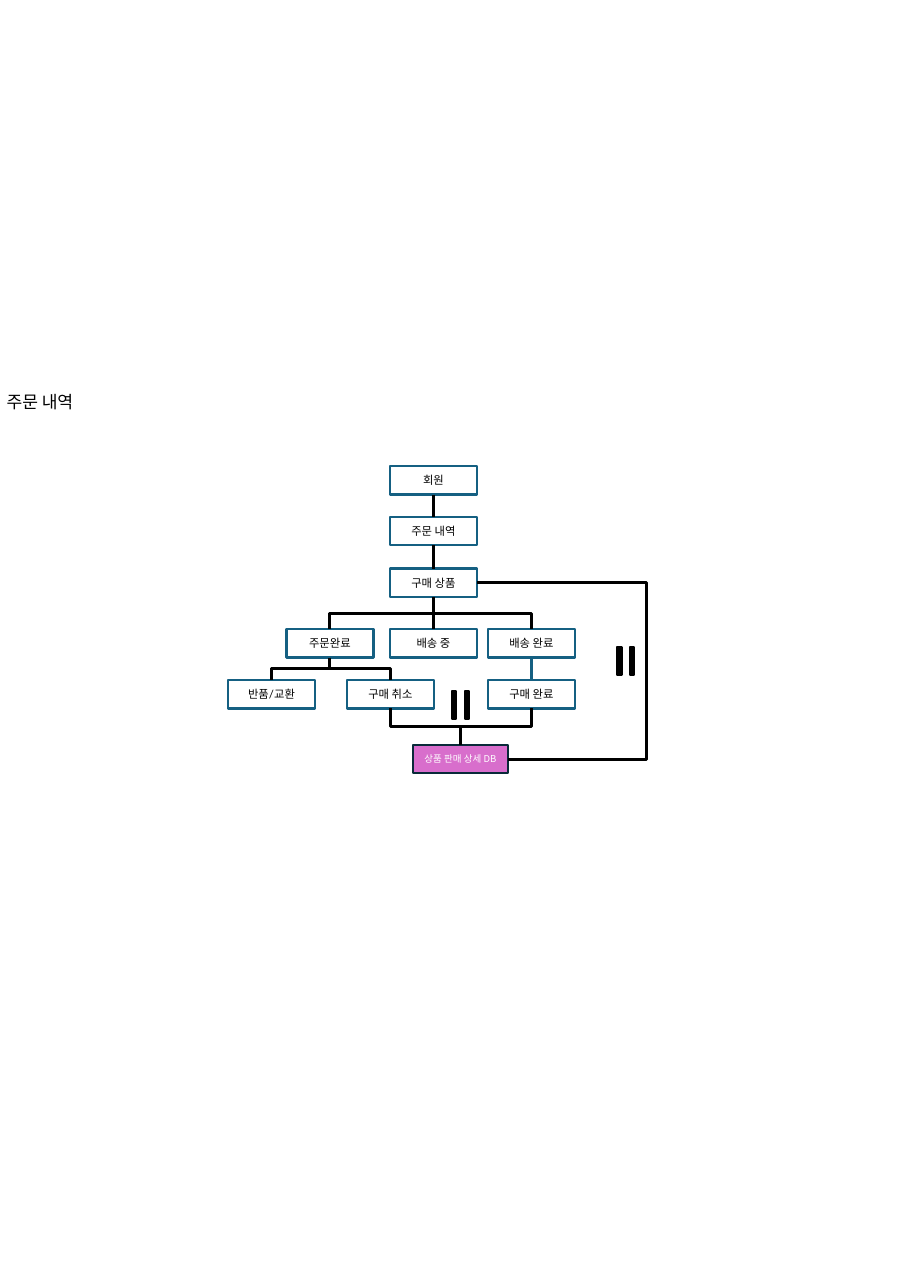
"""Build the order history flow slide."""
from lxml import etree
from pptx import Presentation
from pptx import util as u
from pptx.dml.color import RGBColor
from pptx.enum import shapes, text
from pptx.oxml.ns import qn

COLORS = {"ink": "000000", "paper": "FFFFFF", "border": "156082",
          "database": "D86ECC", "database_border": "092A39"}
LATIN, KOREAN = "Lato", "Noto Sans CJK KR"
TITLE = "주문 내역"
BOX_WIDTH, BOX_HEIGHT = 0.79, 0.26
STEPS = {
    "member": ("회원", 3.54, 4.23),
    "orders": ("주문 내역", 3.54, 4.69),
    "product": ("구매 상품", 3.54, 5.16),
    "ordered": ("주문완료", 2.6, 5.71),
    "shipping": ("배송 중", 3.54, 5.71),
    "delivered": ("배송 완료", 4.43, 5.71),
    "returned": ("반품/교환", 2.07, 6.17),
    "cancelled": ("구매 취소", 3.15, 6.17),
    "completed": ("구매 완료", 4.43, 6.17),
}
DATABASE = ("상품 판매 상세 DB", 3.75, 6.76, 0.86)
STRAIGHT = [("member", "orders", "ink", 2), ("orders", "product", "ink", 2),
            ("product", "shipping", "ink", 2),
            ("delivered", "completed", "border", 1.5)]
BRANCHES = [("product", "ordered"), ("product", "delivered"),
            ("ordered", "returned"), ("ordered", "cancelled"),
            ("cancelled", "database"), ("completed", "database")]
EQUALS = [(4.01, 6.24), (5.51, 5.84)]
LOOP_X = 5.87


def color(name):
    return RGBColor.from_string(COLORS[name])


def write(shape, words, size, ink, font=LATIN, align=text.PP_ALIGN.CENTER):
    frame = shape.text_frame
    frame.text = words
    frame.word_wrap = True
    frame.margin_left = frame.margin_right = u.Inches(0.06)
    frame.margin_top = frame.margin_bottom = u.Inches(0.03)
    para = frame.paragraphs[0]
    para.alignment = align
    span = para.runs[0]
    span.font.size = u.Pt(size)
    span.font.name = font
    span.font.color.rgb = color(ink)
    east_asian = etree.SubElement(span.font._element, qn("a:ea"))
    east_asian.set("typeface", KOREAN)


def add_figure(slide, kind, left, top, width, height, fill, border):
    shape = slide.shapes.add_shape(kind, *map(u.Inches, (left, top, width, height)))
    shape.shadow.inherit = False
    shape.fill.solid()
    shape.fill.fore_color.rgb = color(fill)
    shape.line.color.rgb = color(border)
    shape.line.width = u.Pt(1.5)
    return shape


def add_box(slide, words, left, top, width=BOX_WIDTH, fill="paper",
            border="border", size=7.4, ink="ink", font=LATIN):
    box = add_figure(slide, shapes.MSO_SHAPE.RECTANGLE, left, top, width,
                     BOX_HEIGHT, fill, border)
    box.text_frame.vertical_anchor = text.MSO_ANCHOR.MIDDLE
    write(box, words, size, ink, font)
    return box


def add_line(slide, kind, ends=(0, 0, 0, 0), ink="ink", width=2):
    line = slide.shapes.add_connector(kind, *map(int, ends))
    line.line.color.rgb = color(ink)
    line.line.width = u.Pt(width)
    etree.SubElement(line._element.spPr, qn("a:effectLst"))
    return line


def add_branch(slide, upper, lower):
    """Draw an elbow that leaves downwards, as a quarter-turned connector."""
    x1, y1 = upper.left + upper.width / 2, upper.top + upper.height
    x2, y2 = lower.left + lower.width / 2, lower.top
    middle_x, middle_y = (x1 + x2) / 2, (y1 + y2) / 2
    half_drop, half_span = (y2 - y1) / 2, abs(x2 - x1) / 2
    side = 1 if x2 > x1 else -1
    ends = (middle_x + side * half_drop, middle_y - half_span,
            middle_x - side * half_drop, middle_y + half_span)
    line = add_line(slide, shapes.MSO_CONNECTOR.ELBOW, ends)
    degrees = 270 if side > 0 else 90
    line._element.spPr.find(qn("a:xfrm")).set("rot", str(degrees * 60000))


def add_loop(slide, start, end):
    """Draw the elbow from right side to right side, out to LOOP_X."""
    x1, x2 = start.left + start.width, end.left + end.width
    ends = (x1, start.top + start.height / 2, x2, end.top + end.height / 2)
    line = add_line(slide, shapes.MSO_CONNECTOR.ELBOW, ends)
    bend = round((u.Inches(LOOP_X) - x1) / (x2 - x1) * 100000)
    geometry = line._element.spPr.find(qn("a:prstGeom"))
    guides = geometry.find(qn("a:avLst"))
    guide = etree.SubElement(guides, qn("a:gd"))
    guide.set("name", "adj1")
    guide.set("fmla", f"val {bend}")


def main():
    deck = Presentation()
    deck.slide_width, deck.slide_height = u.Inches(8.27), u.Inches(11.69)
    slide = deck.slides.add_slide(deck.slide_layouts[5])

    title = slide.shapes.title
    title.left, title.top = u.Inches(0), u.Inches(3.52)
    title.width, title.height = u.Inches(1.86), u.Inches(0.25)
    write(title, TITLE, 11.2, "ink", align=text.PP_ALIGN.LEFT)
    title.text_frame.vertical_anchor = text.MSO_ANCHOR.TOP
    title.text_frame.auto_size = text.MSO_AUTO_SIZE.SHAPE_TO_FIT_TEXT

    boxes = {name: add_box(slide, *step) for name, step in STEPS.items()}
    boxes["database"] = add_box(slide, *DATABASE, "database", "database_border",
                                6.2, "paper", KOREAN)

    for upper, lower, ink, width in STRAIGHT:
        line = add_line(slide, shapes.MSO_CONNECTOR.STRAIGHT, ink=ink, width=width)
        line.begin_connect(boxes[upper], 2)
        line.end_connect(boxes[lower], 0)
    for upper, lower in BRANCHES:
        add_branch(slide, boxes[upper], boxes[lower])
    add_loop(slide, boxes["database"], boxes["product"])

    for left, top in EQUALS:
        sign = add_figure(slide, shapes.MSO_SHAPE.MATH_EQUAL, left, top,
                          0.34, 0.32, "ink", "ink")
        sign.rotation = 90
        sign.adjustments[0], sign.adjustments[1] = 0.12, 0.24

    deck.save("out.pptx")


if __name__ == "__main__":
    main()
